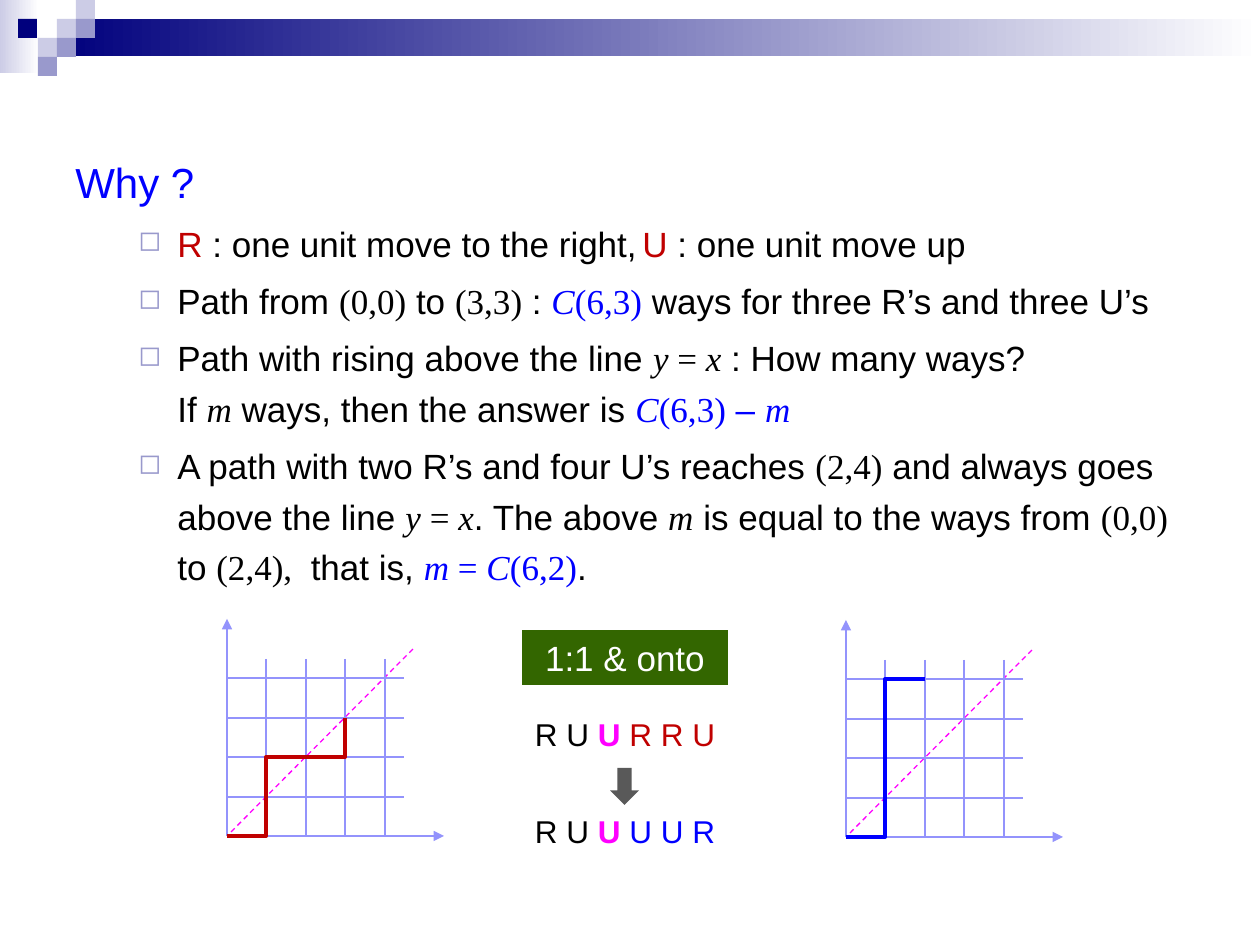
from typing import NamedTuple

from lxml.etree import SubElement
from pptx import Presentation
from pptx.dml.color import RGBColor
from pptx.enum.dml import MSO_LINE
from pptx.enum.shapes import MSO_CONNECTOR, MSO_SHAPE
from pptx.enum.text import MSO_ANCHOR, PP_ALIGN
from pptx.oxml.ns import qn
from pptx.util import Emu, Pt

EMU_PER_PX = 914400 / 126
SANS, SERIF = "Arial", "Times New Roman"
BLACK, WHITE, RED, BLUE, MAGENTA = "000000", "FFFFFF", "C00000", "0000FF", "FF00FF"
NAVY, LILAC, PALE, GRID = "00007D", "9999CC", "CCCCE6", "9393FC"


class Run(NamedTuple):
    text: str
    color: str = BLACK
    font: str = SANS
    italic: bool = False
    bold: bool = False


class Para(NamedTuple):
    runs: list[Run]
    size: int = 20
    left: int = 102
    bullet: bool = True
    before: int = 4


class Block(NamedTuple):
    x: int
    y: int
    color: str


class LatticeGraph(NamedTuple):
    x: int
    y: int
    color: str
    steps: list[tuple[int, int]]


def math(text: str, color: str = BLACK) -> Run:
    return Run(text, color, SERIF)


def var(text: str, color: str = BLACK) -> Run:
    return Run(text, color, SERIF, italic=True)


BLOCKS = [
    Block(57, 19, PALE), Block(76, 0, PALE), Block(76, 19, LILAC), Block(38, 38, PALE),
    Block(18, 19, NAVY), Block(57, 38, LILAC), Block(38, 57, LILAC),
]

BODY = [
    Para([Run("Why ?", BLUE)], size=24, left=0, bullet=False, before=0),
    Para([Run("R", RED), Run(" : one unit move to the right,\t"), Run("U", RED),
          Run(" : one unit move up")]),
    Para([Run("Path from "), math("(0,0)"), Run(" to "), math("(3,3)"), Run(" : "),
          var("C", BLUE), math("(6,3)", BLUE), Run(" ways for three R’s and three U’s")]),
    Para([Run("Path with rising above the line "), var("y"), math(" = "), var("x"),
          Run(" : How many ways?")]),
    Para([Run("If "), var("m"), Run(" ways, then the answer is "), var("C", BLUE),
          math("(6,3)", BLUE), Run(" – ", BLUE), var("m", BLUE)], bullet=False, before=0),
    Para([Run("A path with two R’s and four U’s reaches "), math("(2,4)"),
          Run(" and always goes above the line "), var("y"), math(" = "), var("x"),
          Run(". The above "), var("m"), Run(" is equal to the ways from "), math("(0,0)"),
          Run(" to "), math("(2,4), "), Run(" that is, "), var("m", BLUE),
          math(" = ", BLUE), var("C", BLUE), math("(6,2)", BLUE), Run(".")]),
]

GRAPHS = [
    LatticeGraph(227, 836, RED, [(0, 0), (1, 0), (1, 2), (3, 2), (3, 3)]),
    LatticeGraph(846, 837, BLUE, [(0, 0), (1, 0), (1, 4), (2, 4)]),
]


def px(n: int) -> Emu:
    return Emu(round(n * EMU_PER_PX))


def rgb(color: str) -> RGBColor:
    return RGBColor.from_string(color)


def add_runs(p, runs: list[Run], size: int) -> None:
    for run in runs:
        r = p.add_run()
        r.text = run.text
        r.font.size = Pt(size)
        r.font.name = run.font
        r.font.italic = run.italic
        r.font.bold = run.bold
        r.font.color.rgb = rgb(run.color)


def add_body(s, x: int, y: int, w: int, h: int, paras: list[Para]) -> None:
    tf = s.shapes.add_textbox(px(x), px(y), px(w), px(h)).text_frame
    tf.word_wrap = True
    for i, para in enumerate(paras):
        p = tf.add_paragraph() if i else tf.paragraphs[0]
        p.line_spacing = 1.2
        p.space_before = Pt(para.before)
        pPr = p._p.get_or_add_pPr()
        pPr.set("marL", str(px(para.left)))
        pPr.set("indent", str(px(-39 if para.bullet else 0)))
        if para.bullet:
            SubElement(SubElement(pPr, qn("a:buClr")), qn("a:srgbClr"), val=LILAC)
            SubElement(pPr, qn("a:buSzPct"), val="80000")
            SubElement(pPr, qn("a:buChar"), char="◻")
        add_runs(p, para.runs, para.size)


def add_caption(s, x: int, y: int, w: int, h: int, runs: list[Run]) -> None:
    tf = s.shapes.add_textbox(px(x), px(y), px(w), px(h)).text_frame
    tf.word_wrap = True
    p = tf.paragraphs[0]
    p.alignment = PP_ALIGN.CENTER
    add_runs(p, runs, 18)


def add_block(s, x: int, y: int, w: int, h: int, color: str,
              fade: bool = False, kind: MSO_SHAPE = MSO_SHAPE.RECTANGLE):
    """Add a borderless shape, solid or fading to white on the right."""
    sp = s.shapes.add_shape(kind, px(x), px(y), px(w), px(h))
    sp.shadow.inherit = False
    sp.line.fill.background()
    if fade:
        sp.fill.gradient()
        sp.fill.gradient_angle = 0
        for stop, stop_color in zip(sp.fill.gradient_stops, (color, WHITE)):
            stop.color.rgb = rgb(stop_color)
    else:
        sp.fill.solid()
        sp.fill.fore_color.rgb = rgb(color)
    return sp


def add_line(s, x1: int, y1: int, x2: int, y2: int, color: str = GRID,
             arrow: bool = False, dashed: bool = False) -> None:
    cx = s.shapes.add_connector(MSO_CONNECTOR.STRAIGHT, px(x1), px(y1), px(x2), px(y2))
    cx.line.color.rgb = rgb(color)
    cx.line.width = Pt(0.75)
    if dashed:
        cx.line.dash_style = MSO_LINE.DASH
    if arrow:
        SubElement(cx.line._get_or_add_ln(), qn("a:tailEnd"), type="triangle")
    SubElement(cx._element.spPr, qn("a:effectLst"))


def add_graph(s, g: LatticeGraph) -> None:
    """Draw the axes, four grid lines each way, the line y = x and the path."""
    offsets = [158 * i // 4 for i in range(5)]
    add_line(s, g.x + 186, g.y - 187, g.x, g.y, MAGENTA, dashed=True)
    add_line(s, g.x, g.y, g.x, g.y - 217, arrow=True)
    add_line(s, g.x, g.y, g.x + 217, g.y, arrow=True)
    for d in offsets[1:]:
        add_line(s, g.x + d, g.y - 177, g.x + d, g.y)
        add_line(s, g.x, g.y - d, g.x + 177, g.y - d)
    points = [(g.x + offsets[i], g.y - offsets[j]) for i, j in g.steps]
    builder = s.shapes.build_freeform(*points[0], scale=EMU_PER_PX)
    builder.add_line_segments(points[1:], close=False)
    sp = builder.convert_to_shape()
    sp.shadow.inherit = False
    sp.fill.background()
    sp.line.color.rgb = rgb(g.color)
    sp.line.width = Pt(2.25)


def main() -> None:
    prs = Presentation()
    prs.slide_width, prs.slide_height = px(1260), px(945)
    s = prs.slides.add_slide(prs.slide_layouts[6])

    add_block(s, 0, 0, 39, 73, PALE, fade=True)
    add_block(s, 57, 19, 1203, 37, NAVY, fade=True)
    for block in BLOCKS:
        add_block(s, block.x, block.y, 19, 19, block.color)

    add_body(s, 63, 140, 1134, 472, BODY)
    for graph in GRAPHS:
        add_graph(s, graph)

    start = [Run("R U "), Run("U ", MAGENTA, bold=True)]
    add_caption(s, 502, 709, 246, 50, start + [Run("R R U", RED)])
    add_caption(s, 502, 806, 246, 50, start + [Run("U U R", BLUE)])
    add_block(s, 610, 768, 29, 37, "595959", kind=MSO_SHAPE.DOWN_ARROW)

    tf = add_block(s, 522, 630, 206, 55, "336600").text_frame
    tf.vertical_anchor = MSO_ANCHOR.MIDDLE
    tf.paragraphs[0].alignment = PP_ALIGN.CENTER
    add_runs(tf.paragraphs[0], [Run("1:1 & onto", WHITE)], 20)

    prs.save("out.pptx")


if __name__ == "__main__":
    main()
